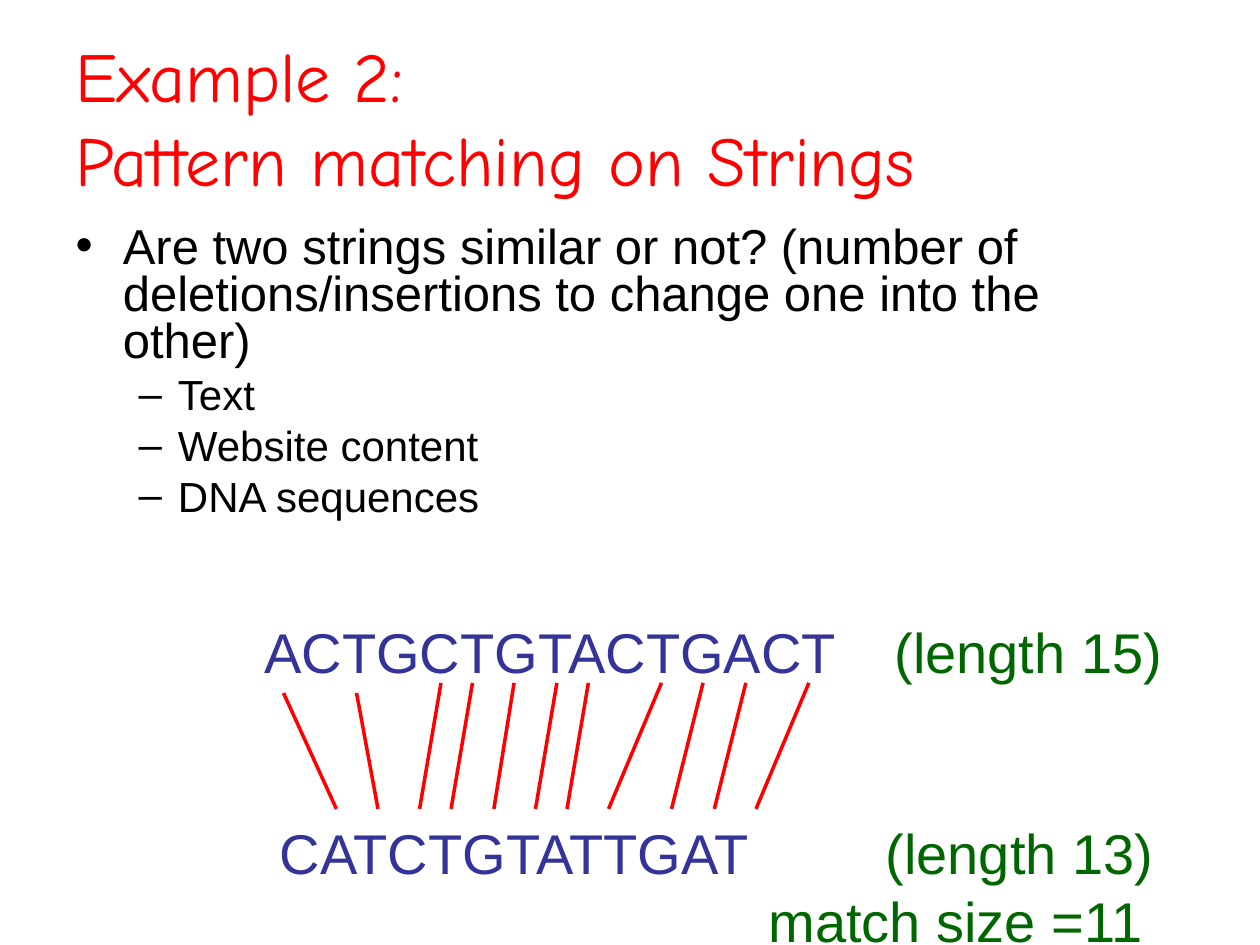
from lxml import etree
from pptx import Presentation
from pptx.dml.color import RGBColor
from pptx.enum.shapes import MSO_CONNECTOR
from pptx.enum.text import MSO_ANCHOR, MSO_AUTO_SIZE, PP_ALIGN
from pptx.oxml.ns import qn
from pptx.util import Inches, Pt

RED = RGBColor(0xFF, 0x00, 0x00)
BLACK = RGBColor(0x00, 0x00, 0x00)
BLUE = RGBColor(0x33, 0x33, 0x99)
GREEN = RGBColor(0x00, 0x66, 0x00)

TOPICS = [
    ("Are two strings similar or not? (number of deletions/insertions "
     "to change one into the other)", 0),
    ("Text", 1),
    ("Website content", 1),
    ("DNA sequences", 1),
]
SEQUENCES = [
    ("ACTGCTGTACTGACT", "(length 15)", 5.0, 0),
    (" CATCTGTATTGAT", "(length 13)", 4.93, 76.8),
    ("", "match size =11", 4.0, 0),
]
MATCHES = [
    (2.25, 5.5, 2.67), (2.83, 5.5, 3), (3.5, 5.42, 3.33), (3.75, 5.42, 3.58),
    (4.08, 5.42, 3.92), (4.42, 5.42, 4.25), (4.67, 5.42, 4.5),
    (5.25, 5.42, 4.83), (5.58, 5.42, 5.33), (5.92, 5.42, 5.67),
    (6.42, 5.42, 6),
]
MATCH_BOTTOM = 6.42


class SlideBuilder:
    title_font = "Comic Neue"
    text_font = "Arial"
    level_sizes = (28, 24)
    level_gaps = (7, 6)

    def __init__(self, slide):
        self.slide = slide

    def place(self, shape, left, top, width, height):
        shape.left, shape.top = Inches(left), Inches(top)
        shape.width, shape.height = Inches(width), Inches(height)
        shape.text_frame.auto_size = MSO_AUTO_SIZE.NONE

    def style(self, font, name, size, color):
        font.name = name
        font.size = Pt(size)
        font.color.rgb = color

    def title(self, text, *box):
        heading = self.slide.shapes.title
        self.place(heading, *box)
        frame = heading.text_frame
        frame.text = text
        frame.vertical_anchor = MSO_ANCHOR.MIDDLE
        paragraph = frame.paragraphs[0]
        paragraph.alignment = PP_ALIGN.LEFT
        self.style(paragraph.font, self.title_font, 40, RED)

    def bullets(self, items, *box):
        body = self.slide.placeholders[1]
        self.place(body, *box)
        frame = body.text_frame
        frame.text = "\n".join(text for text, _ in items)
        for paragraph, (_, level) in zip(frame.paragraphs, items):
            paragraph.level = level
            paragraph.line_spacing = 0.8
            paragraph.space_before = Pt(self.level_gaps[level])
            self.style(paragraph.font, self.text_font,
                       self.level_sizes[level], BLACK)

    def sequences(self, rows, *box):
        alignment = self.slide.shapes.add_textbox(*map(Inches, box))
        frame = alignment.text_frame
        frame.word_wrap = True
        for index, (sequence, note, stop, gap) in enumerate(rows):
            paragraph = frame.add_paragraph() if index else frame.paragraphs[0]
            paragraph.line_spacing = Pt(38.4)
            paragraph.space_before = Pt(gap)
            properties = paragraph._p.get_or_add_pPr()
            tabs = etree.SubElement(properties, qn("a:tabLst"))
            etree.SubElement(tabs, qn("a:tab"), pos=str(Inches(stop)), algn="l")
            for text, color in ((sequence + "\t", BLUE), (note, GREEN)):
                run = paragraph.add_run()
                run.text = text
                self.style(run.font, self.text_font, 32, color)

    def match_line(self, x1, y1, x2, y2):
        match = self.slide.shapes.add_connector(
            MSO_CONNECTOR.STRAIGHT, *map(Inches, (x1, y1, x2, y2)))
        match.line.color.rgb = RED
        match.line.width = Pt(2)
        etree.SubElement(match._element.spPr, qn("a:effectLst"))


def main():
    deck = Presentation()
    deck.slide_width, deck.slide_height = Inches(10), Inches(7.5)
    builder = SlideBuilder(deck.slides.add_slide(deck.slide_layouts[1]))
    builder.title("Example 2:\vPattern matching on Strings", 0.5, 0.3, 9, 1.25)
    builder.bullets(TOPICS, 0.5, 1.75, 8.92, 2.5)
    builder.sequences(SEQUENCES, 2, 4.85, 7.75, 2.77)
    for top_x, top_y, bottom_x in MATCHES:
        builder.match_line(top_x, top_y, bottom_x, MATCH_BOTTOM)
    deck.save("out.pptx")


if __name__ == "__main__":
    main()
